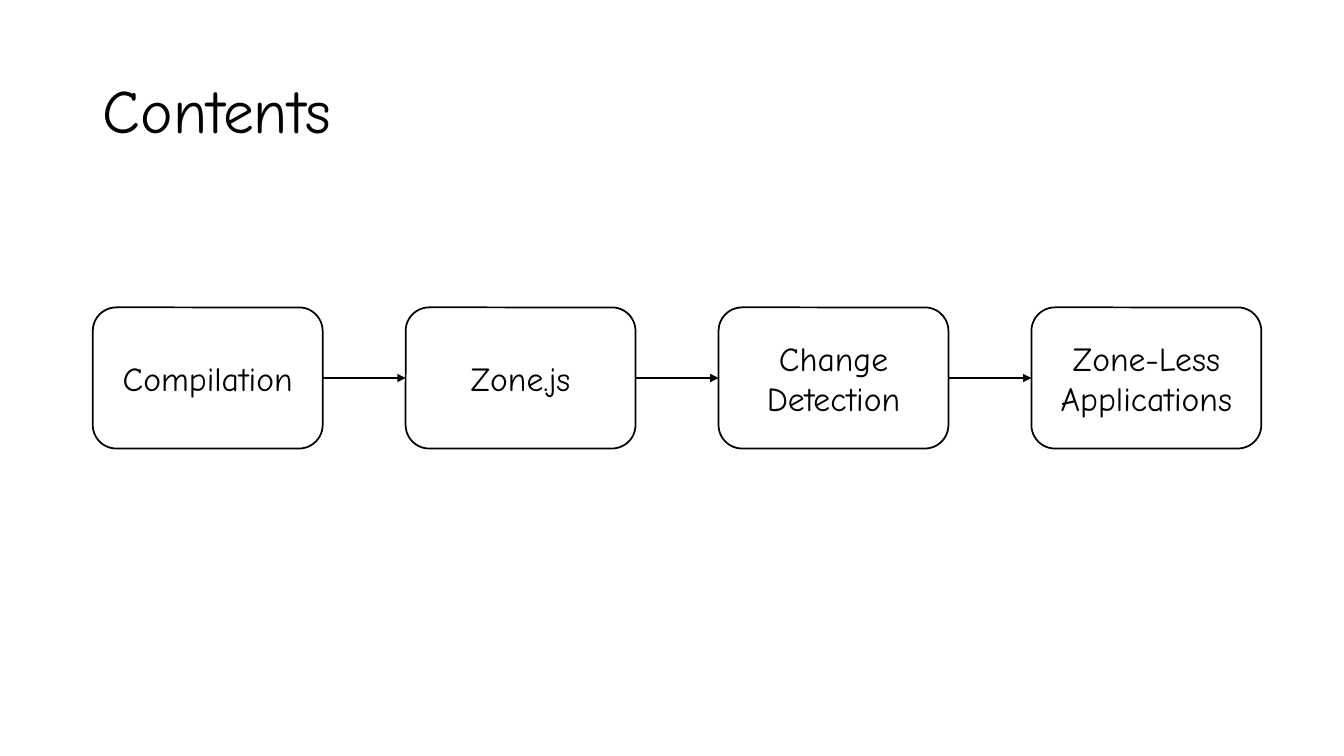
import pptx
import pptx.dml.color
import pptx.enum.shapes
import pptx.enum.text
import pptx.oxml.ns
import pptx.util
from lxml import etree

BLACK = pptx.dml.color.RGBColor(0x00, 0x00, 0x00)
WHITE = pptx.dml.color.RGBColor(0xFF, 0xFF, 0xFF)
FONT = "Comic Neue"

SLIDE_WIDTH = pptx.util.Inches(13.33)
SLIDE_HEIGHT = pptx.util.Inches(7.5)
MARGIN = pptx.util.Inches(0.92)
TOPICS = ["Compilation", "Zone.js", "Change Detection", "Zone-Less Applications"]
STEP_WIDTH = pptx.util.Inches(2.28)


def write_text(shape, text, size, alignment):
    frame = shape.text_frame
    frame.word_wrap = True
    frame.vertical_anchor = pptx.enum.text.MSO_ANCHOR.MIDDLE
    paragraph = frame.paragraphs[0]
    paragraph.alignment = alignment
    run = paragraph.add_run()
    run.text = text
    run.font.name = FONT
    run.font.size = pptx.util.Pt(size)
    run.font.color.rgb = BLACK
    return paragraph


def add_title(slide, text, left, top, width, height):
    title = slide.shapes.add_textbox(left, top, width, height)
    paragraph = write_text(title, text, 44, pptx.enum.text.PP_ALIGN.LEFT)
    paragraph.line_spacing = 0.9


def add_step(slide, text, left, top, width, height):
    step = slide.shapes.add_shape(
        pptx.enum.shapes.MSO_SHAPE.ROUNDED_RECTANGLE, left, top, width, height)
    step.shadow.inherit = False
    step.fill.solid()
    step.fill.fore_color.rgb = WHITE
    step.line.color.rgb = BLACK
    step.line.width = pptx.util.Pt(1.25)
    write_text(step, text, 24, pptx.enum.text.PP_ALIGN.CENTER)
    return step


def add_arrow(slide, source, target):
    arrow = slide.shapes.add_connector(
        pptx.enum.shapes.MSO_CONNECTOR.STRAIGHT, 0, 0, 0, 0)
    arrow.begin_connect(source, 3)
    arrow.end_connect(target, 1)
    arrow.line.color.rgb = BLACK
    arrow.line.width = pptx.util.Pt(1.75)
    # Arrowhead and no shadow
    line = arrow.line._get_or_add_ln()
    etree.SubElement(line, pptx.oxml.ns.qn("a:tailEnd"), type="triangle")
    etree.SubElement(arrow._element.spPr, pptx.oxml.ns.qn("a:effectLst"))


def add_flow(slide, topics, left, top, width, height):
    # Equal steps, the first and last flush with the ends of the box
    pitch = (width - STEP_WIDTH) / (len(topics) - 1)
    steps = [add_step(slide, topic, round(left + column * pitch), top, STEP_WIDTH, height)
             for column, topic in enumerate(topics)]
    for source, target in zip(steps, steps[1:]):
        add_arrow(slide, source, target)


def main():
    presentation = pptx.Presentation()
    presentation.slide_width = SLIDE_WIDTH
    presentation.slide_height = SLIDE_HEIGHT
    slide = presentation.slides.add_slide(presentation.slide_layouts[6])

    # Title
    add_title(slide, "Contents", MARGIN, pptx.util.Inches(0.4),
              SLIDE_WIDTH - 2 * MARGIN, pptx.util.Inches(1.45))

    # Row of topics, centred on the slide's height
    flow_height = pptx.util.Inches(1.4)
    add_flow(slide, TOPICS, MARGIN, (SLIDE_HEIGHT - flow_height) // 2,
             pptx.util.Inches(11.59), flow_height)

    presentation.save("out.pptx")


if __name__ == "__main__":
    main()
